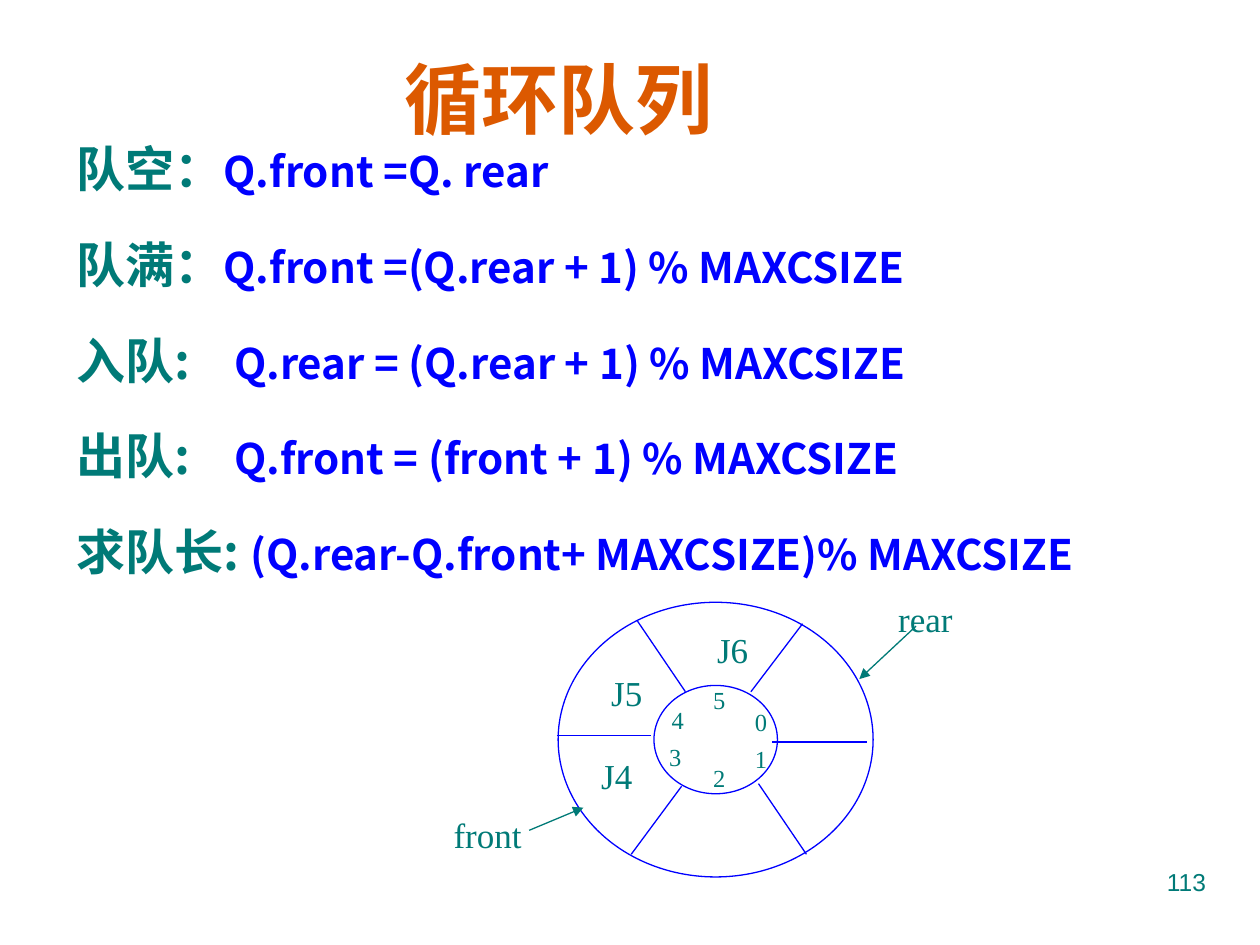
from dataclasses import dataclass

from lxml import etree
from pptx import Presentation
from pptx.dml.color import RGBColor
from pptx.enum.lang import MSO_LANGUAGE_ID
from pptx.enum.shapes import MSO_CONNECTOR, MSO_SHAPE
from pptx.enum.text import MSO_ANCHOR, PP_ALIGN
from pptx.oxml.ns import qn
from pptx.util import Inches, Pt

CHINESE = MSO_LANGUAGE_ID.SIMPLIFIED_CHINESE
STRAIGHT = MSO_CONNECTOR.STRAIGHT
OVAL = MSO_SHAPE.OVAL
TOP, MIDDLE = MSO_ANCHOR.TOP, MSO_ANCHOR.MIDDLE
LEFT, CENTER, RIGHT = PP_ALIGN.LEFT, PP_ALIGN.CENTER, PP_ALIGN.RIGHT


@dataclass(frozen=True)
class Theme:
    teal: RGBColor = RGBColor(0x00, 0x7A, 0x77)
    blue: RGBColor = RGBColor(0x00, 0x00, 0xFF)
    orange: RGBColor = RGBColor(0xDC, 0x59, 0x00)
    heading_font: str = "Noto Sans CJK JP"
    diagram_font: str = "Times New Roman"
    number_font: str = "Arial"
    title_size: int = 44
    term_size: int = 28
    formula_size: int = 24
    label_size: int = 20
    index_size: int = 14
    line_width: float = 0.75


THEME = Theme()

RULES = [
    ("队空：", "Q.front =Q. rear"),
    ("队满：", "Q.front =(Q.rear + 1) % MAXCSIZE"),
    ("入队:\t", "Q.rear = (Q.rear + 1) % MAXCSIZE"),
    ("出队:\t", "Q.front = (front + 1) % MAXCSIZE"),
    ("求队长: ", "(Q.rear-Q.front+ MAXCSIZE)% MAXCSIZE"),
]
FORMULA_TAB = 1.25

WHEEL_CENTER = (5.68, 5.87)
WHEEL_RADII = [(1.25, 1.09), (0.49, 0.43)]
SPOKES = [
    (4.42, 5.84, 5.17, 5.84),
    (6.13, 5.89, 6.88, 5.89),
    (5.06, 4.93, 5.44, 5.49),
    (6.02, 6.22, 6.4, 6.78),
    (6.37, 4.95, 5.96, 5.49),
    (5.41, 6.24, 5.01, 6.78),
]
LABELS = [
    ("J4", 4.67, 5.94, 0.45),
    ("J5", 4.75, 5.28, 0.45),
    ("J6", 5.59, 4.94, 0.45),
    ("rear", 7.03, 4.69, 0.63),
    ("front", 3.5, 6.41, 0.74),
]
SLOT_POSITIONS = [(5.89, 5.56), (5.89, 5.86), (5.56, 6.01),
                  (5.21, 5.84), (5.23, 5.55), (5.56, 5.39)]
POINTERS = [(7.27, 4.97, 6.82, 5.39), (4.2, 6.59, 4.63, 6.41)]


def style_span(span, font, size, color, bold=False):
    span.font.name = font
    span.font.size = Pt(size)
    span.font.bold = bold
    span.font.color.rgb = color


def style_heading_span(span, size, color):
    """Bold text whose Chinese characters use the heading font too."""
    style_span(span, THEME.heading_font, size, color, bold=True)
    span.font.language_id = CHINESE
    latin = span.font._element.find(qn("a:latin"))
    east_asian = etree.Element(qn("a:ea"), typeface=THEME.heading_font)
    latin.addnext(east_asian)


def add_box(page, left, top, width, height, wrap=True, anchor=TOP):
    box = page.shapes.add_textbox(Inches(left), Inches(top),
                                  Inches(width), Inches(height))
    box.text_frame.word_wrap = wrap
    box.text_frame.vertical_anchor = anchor
    return box


def add_label(page, text, left, top, width, height, size,
              font=THEME.diagram_font, align=CENTER, wrap=False, anchor=MIDDLE):
    box = add_box(page, left, top, width, height, wrap, anchor)
    box.text_frame.text = text
    para = box.text_frame.paragraphs[0]
    para.alignment = align
    style_span(para.runs[0], font, size, THEME.teal)


def add_title(page):
    box = add_box(page, 3.11, 0.36, 3, 0.84)
    box.text_frame.text = "循环队列"
    span = box.text_frame.paragraphs[0].runs[0]
    style_heading_span(span, THEME.title_size, THEME.orange)


def add_rules(page):
    frame = add_box(page, 0.51, 0.84, 9.29, 3.86).text_frame
    for number, (term, formula) in enumerate(RULES):
        para = frame.add_paragraph() if number else frame.paragraphs[0]
        para.alignment = LEFT
        para.line_spacing = 1.45
        if number:
            para.space_before = Pt(6)
        if "\t" in term:
            tabs = etree.SubElement(para._p.get_or_add_pPr(), qn("a:tabLst"))
            etree.SubElement(tabs, qn("a:tab"),
                             pos=str(Inches(FORMULA_TAB)), algn="l")
        for text, size, color in ((term, THEME.term_size, THEME.teal),
                                  (formula, THEME.formula_size, THEME.blue)):
            span = para.add_run()
            span.text = text
            style_heading_span(span, size, color)


def add_ring(page, radius_x, radius_y):
    center_x, center_y = WHEEL_CENTER
    ring = page.shapes.add_shape(
        OVAL, Inches(center_x - radius_x), Inches(center_y - radius_y),
        Inches(2 * radius_x), Inches(2 * radius_y))
    ring.shadow.inherit = False
    ring.fill.background()
    ring.line.color.rgb = THEME.blue
    ring.line.width = Pt(THEME.line_width)


def add_line(page, ends, color, arrow=False):
    line = page.shapes.add_connector(STRAIGHT, *(Inches(end) for end in ends))
    line.line.color.rgb = color
    line.line.width = Pt(THEME.line_width)
    properties = line._element.spPr
    if arrow:
        etree.SubElement(properties.find(qn("a:ln")), qn("a:tailEnd"),
                         type="triangle")
    etree.SubElement(properties, qn("a:effectLst"))


def add_queue_wheel(page):
    for radii in WHEEL_RADII:
        add_ring(page, *radii)
    for spoke in SPOKES:
        add_line(page, spoke, THEME.blue)
    for slot, (left, top) in enumerate(SLOT_POSITIONS):
        add_label(page, str(slot), left, top, 0.3, 0.33, THEME.index_size)
    for pointer in POINTERS:
        add_line(page, pointer, THEME.teal, arrow=True)
    for text, left, top, width in LABELS:
        add_label(page, text, left, top, width, 0.43, THEME.label_size)


def main():
    deck = Presentation()
    deck.slide_width, deck.slide_height = Inches(10), Inches(7.5)
    page = deck.slides.add_slide(deck.slide_layouts[6])
    add_rules(page)
    add_title(page)
    add_queue_wheel(page)
    add_label(page, "113", 7.17, 6.83, 2.5, 0.52, THEME.index_size,
              font=THEME.number_font, align=RIGHT, wrap=True, anchor=TOP)
    deck.save("out.pptx")


if __name__ == "__main__":
    main()
